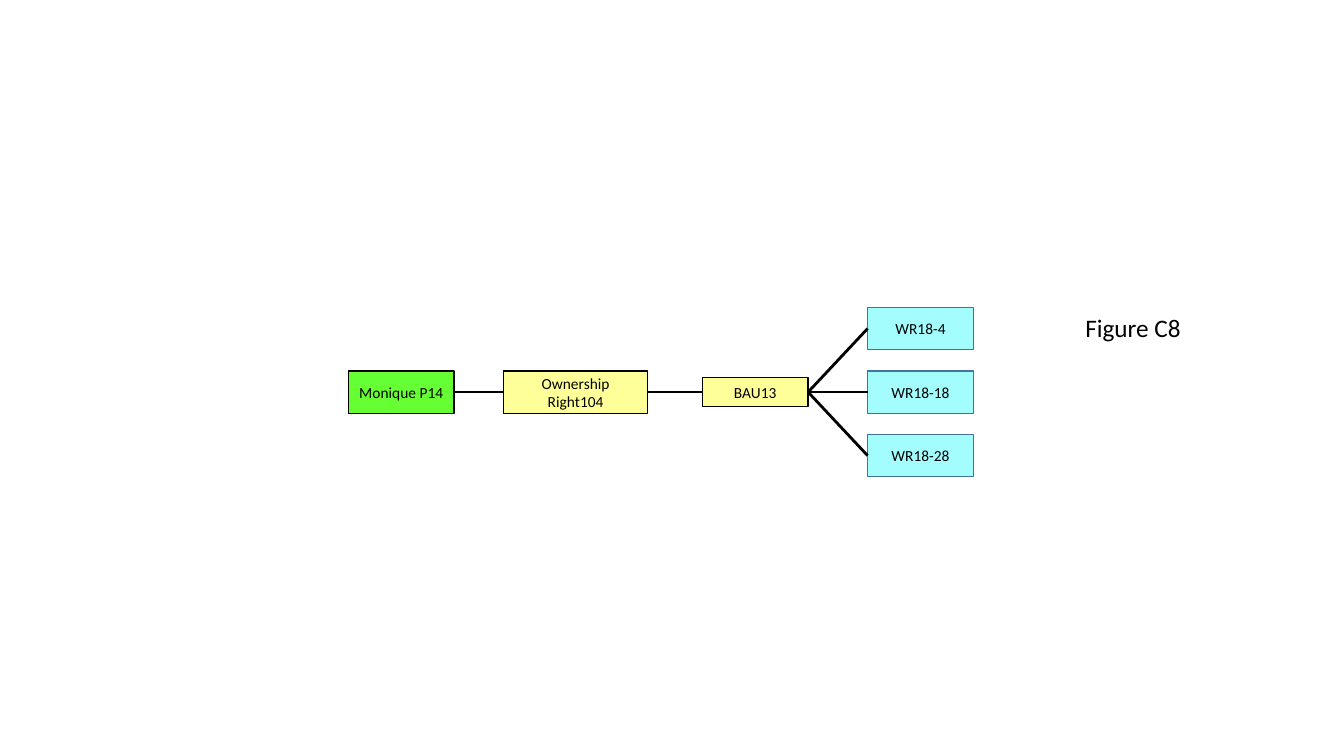
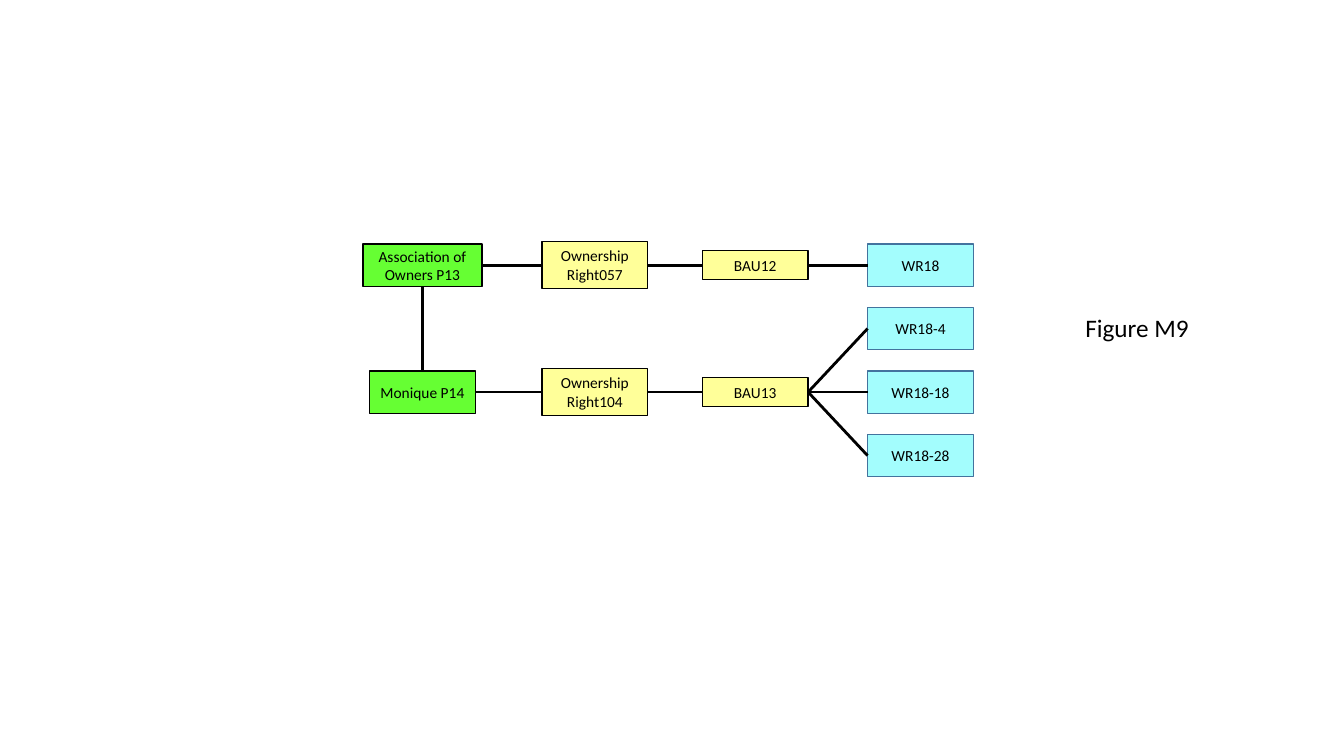
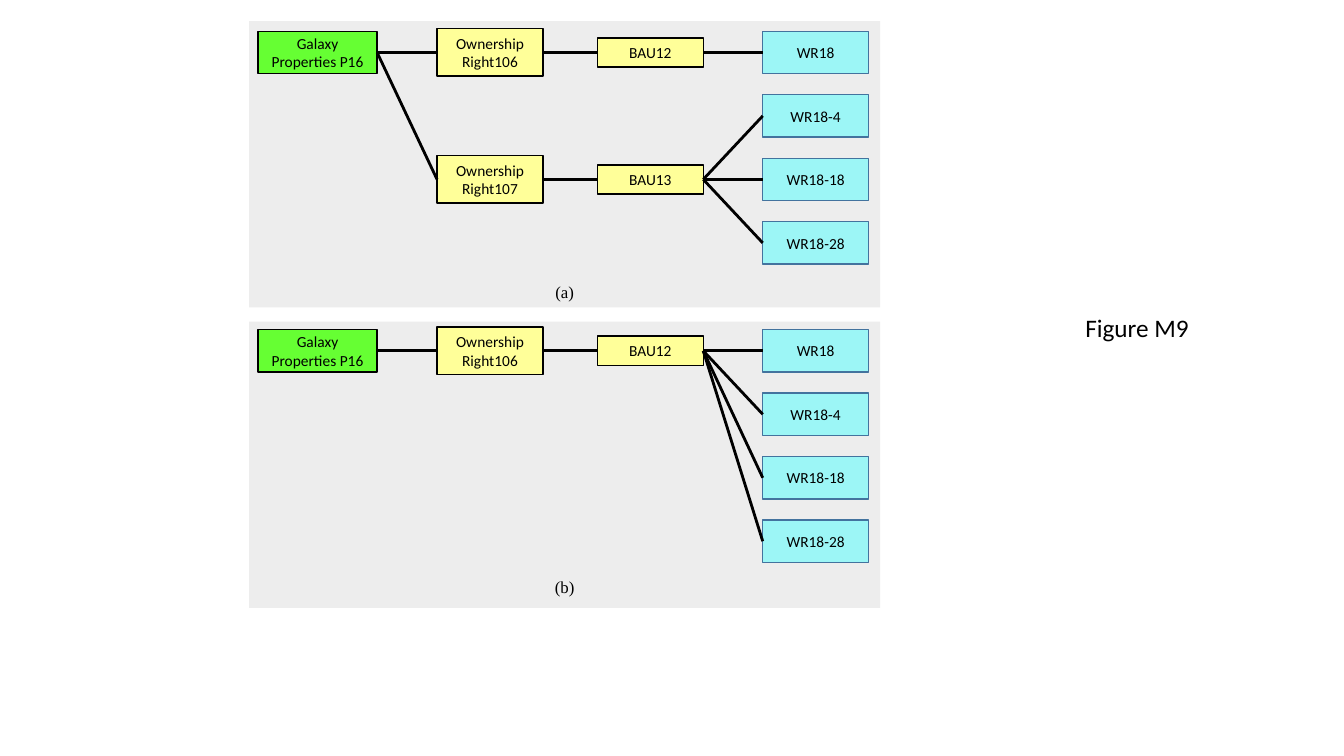
from lxml import etree
from pptx import Presentation
from pptx import util as u
from pptx.dml.color import RGBColor
from pptx.enum import shapes, text
from pptx.oxml.ns import qn

HUES = {"green": "66FF33", "yellow": "FFFF99", "cyan": "69FDFD",
        "edge": "43739E", "ink": "000000", "panel": "EDEDED"}
WIDE, HIGH = 13.33, 7.5
ROW = 0.63
COLS = (0.68, 2.39, 3.98, 5.62)
NEAR = (0.47, 2.2, 3.98, 5.62)
KINDS = {
    "party": (0, 1.05, 0.42, "green", "ink"),
    "firm": (0, 1.18, 0.42, "green", "ink"),
    "right": (1, 1.05, 0.47, "yellow", "ink"),
    "broad": (1, 1.43, 0.42, "yellow", "ink"),
    "unit": (2, 1.05, 0.29, "yellow", "ink"),
    "water": (3, 1.05, 0.42, "cyan", "edge"),
}
FLOW, DROP = (3, 1), (2, 0)
PARTS = ["WR18-4", "WR18-18", "WR18-28"]


def hue(name):
    """Return a named colour."""
    return RGBColor.from_string(HUES[name])


def write(frame, words, size, font="Calibri", align=text.PP_ALIGN.CENTER):
    """Write one run of text into a frame."""
    frame.word_wrap = True
    para = frame.paragraphs[0]
    para.alignment = align
    run = para.add_run()
    run.text = words
    run.font.size = u.Pt(size)
    run.font.name = font
    run.font.color.rgb = hue("ink")


def block(slide, box, fill, edge=None):
    """Draw a flat rectangle."""
    rect = slide.shapes.add_shape(shapes.MSO_SHAPE.RECTANGLE, *map(u.Inches, box))
    rect.shadow.inherit = False
    rect.fill.solid()
    rect.fill.fore_color.rgb = hue(fill)
    if edge:
        rect.line.color.rgb = hue(edge)
        rect.line.width = u.Pt(1)
    else:
        rect.line.fill.background()
    return rect


def node(slide, left, top, cols, kind, words, row):
    """Draw one labelled node centred on its grid cell."""
    col, wide, high, fill, edge = KINDS[kind]
    box = (left + cols[col] - wide / 2, top + row * ROW - high / 2, wide, high)
    rect = block(slide, box, fill, edge)
    if kind == "water":
        tint = rect.fill._xPr.find(qn("a:solidFill"))[0]
        etree.SubElement(tint, qn("a:alpha"), val="61000")
    rect.text_frame.vertical_anchor = text.MSO_ANCHOR.MIDDLE
    write(rect.text_frame, words, 11)
    return rect


def link(slide, start, end, sides=FLOW):
    """Join two nodes with a straight line."""
    line = slide.shapes.add_connector(shapes.MSO_CONNECTOR.STRAIGHT, 0, 0, 0, 0)
    line.begin_connect(start, sides[0])
    line.end_connect(end, sides[1])
    line.line.color.rgb = hue("ink")
    line.line.width = u.Pt(2)
    etree.SubElement(line._element.spPr, qn("a:effectLst"))


def chain(slide, left, top, row, heads, leaves, first, cols=COLS):
    """Draw a row of linked nodes that fans out to its water rights."""
    nodes = [node(slide, left, top, cols, kind, words, row) for kind, words in heads]
    ends = [node(slide, left, top, cols, "water", words, first + i)
            for i, words in enumerate(leaves)]
    for start, end in zip(nodes, nodes[1:]):
        link(slide, start, end)
    for end in ends:
        link(slide, nodes[-1], end)
    return nodes


def page(deck, label):
    """Add a slide with its figure label as title."""
    slide = deck.slides.add_slide(deck.slide_layouts[5])
    title = slide.shapes.title
    title.left, title.top = u.Inches(WIDE * 0.8), u.Inches(3.05)
    title.width, title.height = u.Inches(1.76), u.Inches(0.4)
    title.text_frame.vertical_anchor = text.MSO_ANCHOR.TOP
    write(title.text_frame, label, 18, align=text.PP_ALIGN.LEFT)
    return slide


def panel(slide, left, top, mark, foot):
    """Draw a grey panel with its mark at the foot."""
    block(slide, (left, top, 6.26, 2.84), "panel")
    note = slide.shapes.add_textbox(*map(u.Inches, (left + 0.19, top + foot, 5.88, 0.3)))
    write(note.text_frame, mark, 12, "Times New Roman")


def single(deck, left, top):
    """Build the slide with one owner."""
    slide = page(deck, "Figure C8")
    heads = [("party", "Monique P14"), ("broad", "Ownership Right104"), ("unit", "BAU13")]
    chain(slide, left, top, 2, heads, PARTS, 1, NEAR)


def paired(deck, left, top):
    """Build the slide with an association and its member."""
    slide = page(deck, "Figure M9")
    heads = [("firm", "Association of Owners P13"), ("right", "Ownership Right057"),
             ("unit", "BAU12")]
    group = chain(slide, left, top, 0, heads, ["WR18"], 0)
    heads = [("party", "Monique P14"), ("right", "Ownership Right104"), ("unit", "BAU13")]
    member = chain(slide, left, top, 2, heads, PARTS, 1)
    link(slide, group[0], member[0], DROP)


def merged(deck, left, top):
    """Build the slide that compares two panels."""
    slide = page(deck, "Figure M9")
    low = top + 2.98
    heads = [("firm", "Galaxy Properties P16"), ("right", "Ownership Right106"),
             ("unit", "BAU12")]
    panel(slide, left, top, "(a)", 2.54)
    owner = chain(slide, left, top + 0.31, 0, heads, ["WR18"], 0)[0]
    lower = [("right", "Ownership Right107"), ("unit", "BAU13")]
    link(slide, owner, chain(slide, left, top + 0.31, 2, lower, PARTS, 1)[0])
    panel(slide, left, low, "(b)", 2.48)
    chain(slide, left, low + 0.29, 0, heads, ["WR18"] + PARTS, 0)


def main():
    """Build and save the deck."""
    deck = Presentation()
    deck.slide_width, deck.slide_height = u.Inches(WIDE), u.Inches(HIGH)
    single(deck, 3.51, 2.63)
    paired(deck, 3.51, 2.63)
    merged(deck, 2.47, 0.21)
    deck.save("out.pptx")


if __name__ == "__main__":
    main()
